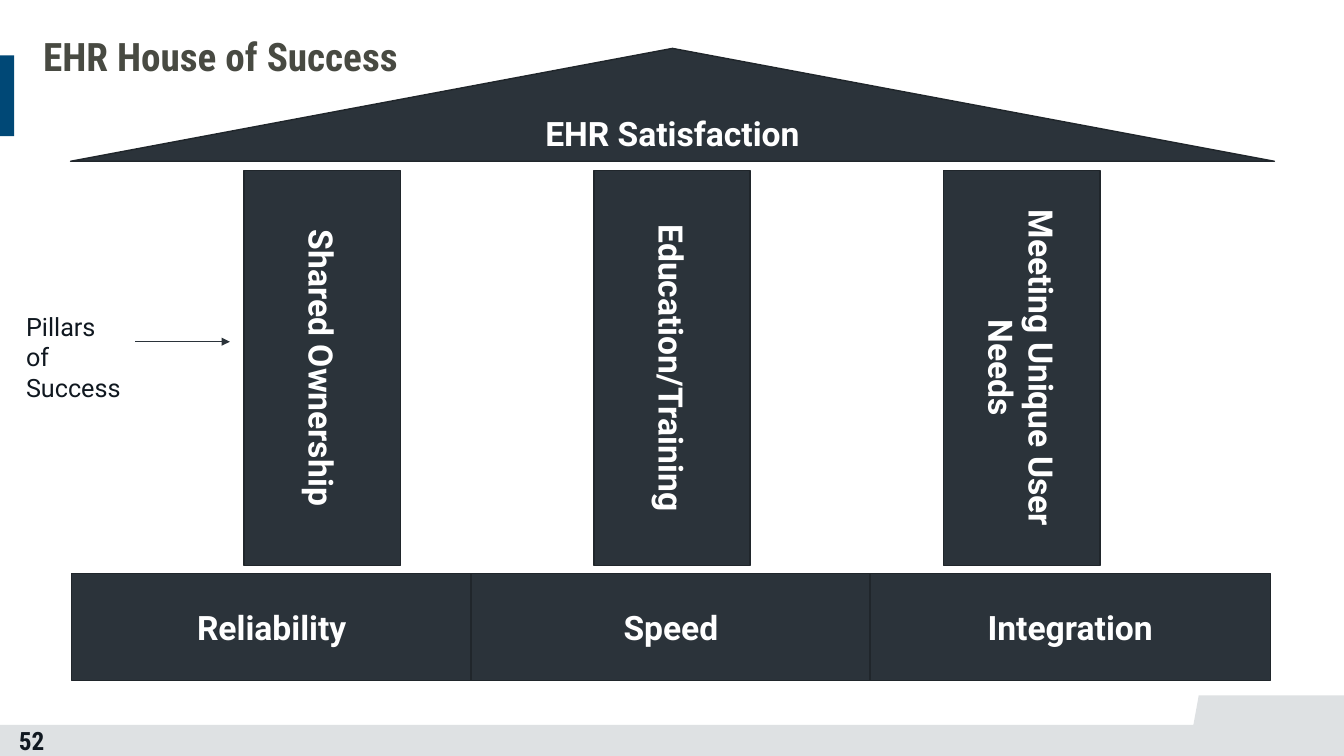
from lxml import etree
from pptx import Presentation
from pptx.dml.color import RGBColor
from pptx.enum import shapes, text
from pptx.oxml.ns import qn
from pptx.util import Inches, Pt

SLATE = RGBColor(0x2B, 0x33, 0x3A)
SLATE_EDGE = RGBColor(0x20, 0x26, 0x2B)
FOOTER_GREY = RGBColor(0xDE, 0xE1, 0xE3)
ACCENT_BLUE = RGBColor(0x00, 0x48, 0x76)
TITLE_GREY = RGBColor(0x48, 0x4A, 0x42)
INK = RGBColor(0x10, 0x18, 0x20)
WHITE = RGBColor(0xFF, 0xFF, 0xFF)

RECTANGLE = shapes.MSO_SHAPE.RECTANGLE
PILLARS = ["Shared Ownership", "Education/Training", "Meeting Unique User Needs"]
FOUNDATIONS = ["Reliability", "Speed", "Integration"]


def write_text(shape, wording, size, color, font="Roboto", bold=True,
               align=text.PP_ALIGN.LEFT, anchor=text.MSO_ANCHOR.MIDDLE,
               line_spacing=None, vertical=False):
    frame = shape.text_frame
    frame.word_wrap = True
    frame.vertical_anchor = anchor
    if vertical:
        frame._txBody.bodyPr.set("vert", "vert")
    paragraph = frame.paragraphs[0]
    paragraph.alignment = align
    paragraph.line_spacing = line_spacing
    run = paragraph.add_run()
    run.text = wording
    run.font.name = font
    run.font.size = Pt(size)
    run.font.bold = bold
    run.font.color.rgb = color


def add_text(slide, box, wording, size, color, **text_format):
    textbox = slide.shapes.add_textbox(*map(Inches, box))
    write_text(textbox, wording, size, color, **text_format)


def add_filled(slide, kind, box, fill, edge=None):
    shape = slide.shapes.add_shape(kind, *map(Inches, box))
    shape.shadow.inherit = False
    shape.fill.solid()
    shape.fill.fore_color.rgb = fill
    if edge is None:
        shape.line.fill.background()
    else:
        shape.line.color.rgb = edge
        shape.line.width = Pt(1)
    return shape


def add_house_part(slide, kind, box, wording, vertical=False):
    part = add_filled(slide, kind, box, SLATE, SLATE_EDGE)
    write_text(part, wording, 24, WHITE, align=text.PP_ALIGN.CENTER, vertical=vertical)


def add_footer(slide, left, top, width, height, number):
    """Grey band with a raised tab at the right and the slide number at the left."""
    tab_width, slope_width, band_height = 1.44, 0.11, 0.31
    tab_left = left + width - tab_width
    band_top = top + height - band_height
    slope = add_filled(slide, shapes.MSO_SHAPE.RIGHT_TRIANGLE,
                       (tab_left - slope_width, top, slope_width, height), FOOTER_GREY)
    slope._element.spPr.find(qn("a:xfrm")).set("flipH", "1")
    add_filled(slide, RECTANGLE, (tab_left, top, tab_width, height), FOOTER_GREY)
    add_filled(slide, RECTANGLE, (left, band_top, width, band_height), FOOTER_GREY)
    add_text(slide, (left + 0.09, band_top, 0.66, 0.32), number, 18, INK,
             font="Roboto Condensed")


def add_title(slide, left, top, width, height, wording):
    add_filled(slide, RECTANGLE, (0, top + 0.29, 0.14, 0.8), ACCENT_BLUE)
    add_text(slide, (left, top, width, height), wording, 28, TITLE_GREY,
             font="Roboto Condensed", line_spacing=0.75)


def add_house(slide, left, top, width, height):
    """Roof, three pillars and a three-part foundation."""
    add_house_part(slide, shapes.MSO_SHAPE.ISOSCELES_TRIANGLE,
                   (left, top, width, 1.12), "EHR Satisfaction")

    pillar_left, pillar_pitch = left + 1.72, 3.47
    for index, wording in enumerate(PILLARS):
        box = (pillar_left + index * pillar_pitch, top + 1.21, 1.55, 3.92)
        add_house_part(slide, RECTANGLE, box, wording, vertical=True)

    block_height, block_pitch = 1.06, 3.96
    for index, wording in enumerate(FOUNDATIONS):
        box = (left + 0.01 + index * block_pitch, top + height - block_height,
               3.97, block_height)
        add_house_part(slide, RECTANGLE, box, wording)


def add_pillar_label(slide, left, top, width, height):
    """Caption with an arrow pointing right to the first pillar."""
    add_text(slide, (left, top, width, height), "Pillars of Success", 18, INK,
             bold=False, anchor=text.MSO_ANCHOR.TOP)
    start, level = left + width + 0.01, top + 0.35
    arrow = slide.shapes.add_connector(
        shapes.MSO_CONNECTOR.STRAIGHT,
        *map(Inches, (start, level, start + 0.94, level)))
    arrow.line.color.rgb = SLATE
    arrow.line.width = Pt(0.5)
    etree.SubElement(arrow.line._get_or_add_ln(), qn("a:tailEnd"), type="triangle")
    etree.SubElement(arrow._element.spPr, qn("a:effectLst"))


def main():
    presentation = Presentation()
    presentation.slide_width = Inches(13.33)
    presentation.slide_height = Inches(7.5)
    slide = presentation.slides.add_slide(presentation.slide_layouts[6])
    add_footer(slide, 0, 6.9, 13.33, 0.6, "52")
    add_title(slide, 0.33, 0.26, 12.08, 0.68, "EHR House of Success")
    add_house(slide, 0.7, 0.48, 11.94, 6.27)
    add_pillar_label(slide, 0.16, 3.04, 1.17, 0.71)
    presentation.save("out.pptx")


if __name__ == "__main__":
    main()
